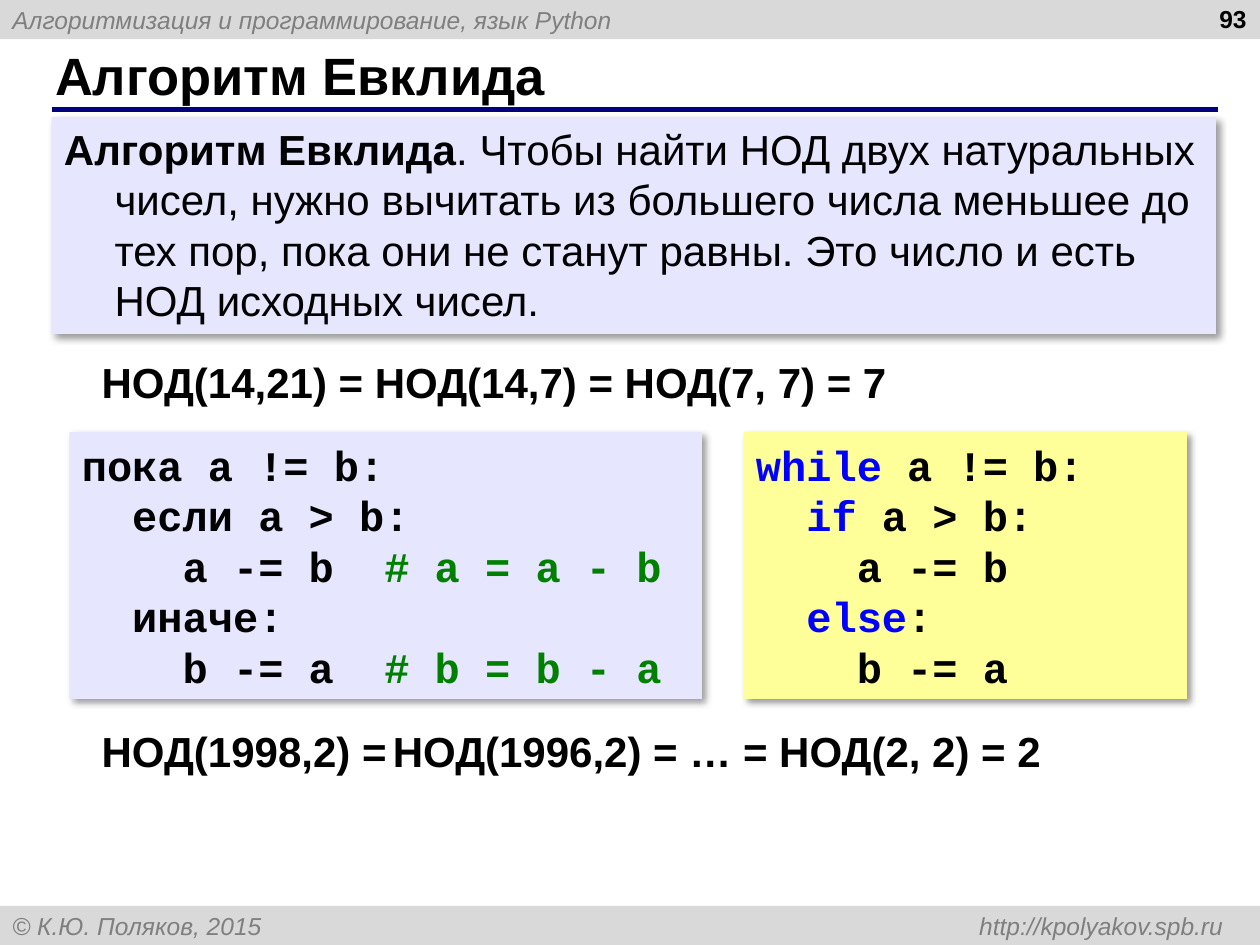
from lxml.etree import SubElement
from pptx import Presentation
from pptx.dml.color import RGBColor
from pptx.enum.shapes import MSO_CONNECTOR, MSO_SHAPE
from pptx.enum.text import MSO_ANCHOR, PP_ALIGN
from pptx.oxml.ns import qn
from pptx.util import Cm, Pt


def paint(code):
    """Turn a hex string into a colour."""
    return RGBColor.from_string(code)


class Deck:
    """Hold the style and the current slide, and draw each kind of element."""

    base = {"name": "Arial", "size": Pt(24), "bold": True, "italic": False}
    note = {"size": Pt(14), "bold": False, "italic": True}
    code = {"name": "Courier New"}
    ink, grey, blue, green = "000000", "7F7F7F", "0000FF", "008000"

    def __init__(self):
        """Start a deck with one blank slide."""
        self.prs = Presentation()
        self.prs.slide_width, self.prs.slide_height = Cm(25.4), Cm(19.05)
        self.slide = self.prs.slides.add_slide(self.prs.slide_layouts[6])

    def label(self, shape, lines, form=None, anchor=MSO_ANCHOR.TOP, wrap=True,
              align=PP_ALIGN.LEFT, lead=Pt(28.8)):
        """Fill a shape with lines made of (text, colour, format) parts."""
        frame = shape.text_frame
        frame.word_wrap, frame.vertical_anchor = wrap, anchor
        for i, line in enumerate(lines):
            para = frame.add_paragraph() if i else frame.paragraphs[0]
            para.alignment = align
            if lead:
                para.line_spacing = lead
            for text, tint, *more in line:
                run = para.add_run()
                run.text = text
                look = {**self.base, **(form or {}), **(more[0] if more else {})}
                for key, value in look.items():
                    setattr(run.font, key, value)
                run.font.color.rgb = paint(tint)
        return frame.paragraphs[0]

    def text(self, area, words, **style):
        """Add a text box with one line."""
        box = self.slide.shapes.add_textbox(*map(Cm, area))
        self.label(box, [[(words, self.ink)]], **style)

    def panel(self, area, fill, lines, shade=True, **style):
        """Add a filled box with text and, if asked, a soft shadow."""
        box = self.slide.shapes.add_shape(MSO_SHAPE.RECTANGLE, *map(Cm, area))
        box.shadow.inherit = False
        box.fill.solid()
        box.fill.fore_color.rgb = paint(fill)
        box.line.fill.background()
        if shade:
            glow = SubElement(
                box._element.spPr.find(qn("a:effectLst")), qn("a:outerShdw"),
                blurRad=str(Pt(4)), dist=str(Pt(3)), dir="2700000",
                algn="tl", rotWithShape="0")
            tone = SubElement(glow, qn("a:srgbClr"), val=self.ink)
            SubElement(tone, qn("a:alpha"), val="40000")
        return self.label(box, lines, **style)

    def bar(self, top, words):
        """Add a grey band across the slide."""
        return self.panel((0, top, 25.4, 0.79), "D9D9D9", [[(words, self.grey)]],
                          shade=False, form=self.note, lead=None,
                          anchor=MSO_ANCHOR.MIDDLE)

    def rule(self, left, right, top):
        """Add the line under the title."""
        line = self.slide.shapes.add_connector(
            MSO_CONNECTOR.STRAIGHT, *map(Cm, (left, top, right, top)))
        line.line.color.rgb, line.line.width = paint("000080"), Pt(3)
        SubElement(line._element.spPr, qn("a:effectLst"))


def main():
    """Build the slide and save it."""
    deck = Deck()
    ink, blue, green = deck.ink, deck.blue, deck.green
    mid = MSO_ANCHOR.MIDDLE
    deck.bar(0, "Алгоритмизация и программирование, язык Python")
    foot = deck.bar(18.26, "© К.Ю. Поляков, 2015 \thttp://kpolyakov.spb.ru")
    tabs = SubElement(foot._p.get_or_add_pPr(), qn("a:tabLst"))
    SubElement(tabs, qn("a:tab"), pos=str(Cm(24.41)), algn="r")
    deck.rule(1.04, 24.56, 2.21)
    deck.text((0.86, 0.84, 23.27, 1.32), "Алгоритм Евклида",
              form={"size": Pt(30)}, anchor=mid, lead=None)
    deck.text((19.46, -0.05, 5.92, 1.32), "93", form={"size": Pt(14)},
              align=PP_ALIGN.RIGHT, lead=None)

    lilac = "E6E6FF"
    rest = (". Чтобы найти НОД двух натуральных чисел, нужно вычитать из "
            "большего числа меньшее до тех пор, пока они не станут равны. "
            "Это число и есть НОД исходных чисел.")
    para = deck.panel((1.04, 2.36, 23.47, 4.37), lilac,
                      [[("Алгоритм Евклида", ink), (rest, ink, {"bold": False})]])
    for key, value in {"marL": Cm(1.02), "indent": Cm(-1.02)}.items():
        para._p.get_or_add_pPr().set(key, str(value))

    draft = [
        [("пока a != b:", ink)],
        [("  если a > b:", ink)],
        [("    a -= b  ", ink), ("# a = a - b", green)],
        [("  иначе:", ink)],
        [("    b -= a  ", ink), ("# b = b - a", green)],
    ]
    final = [
        [("while ", blue), ("a != b:", ink)],
        [("  ", ink), ("if ", blue), ("a > b:", ink)],
        [("    a -= b", ink)],
        [("  ", ink), ("else", blue), (":", ink)],
        [("    b -= a", ink)],
    ]
    for left, width, fill, lines in ((1.4, 12.75, lilac, draft),
                                     (14.99, 8.94, "FFFF99", final)):
        deck.panel((left, 8.71, width, 5.38), fill, lines,
                   form=deck.code, anchor=mid)

    for left, top, width, words in (
            (1.8, 7.06, 16.74, "НОД(14,21) = НОД(14,7) = НОД(7, 7) = 7"),
            (1.8, 14.5, 6.55, "НОД(1998,2) ="),
            (7.67, 14.5, 13.94, "НОД(1996,2) = … = НОД(2, 2) = 2")):
        deck.text((left, top, width, 1.3), words, wrap=False)
    deck.prs.save("out.pptx")


if __name__ == "__main__":
    main()
